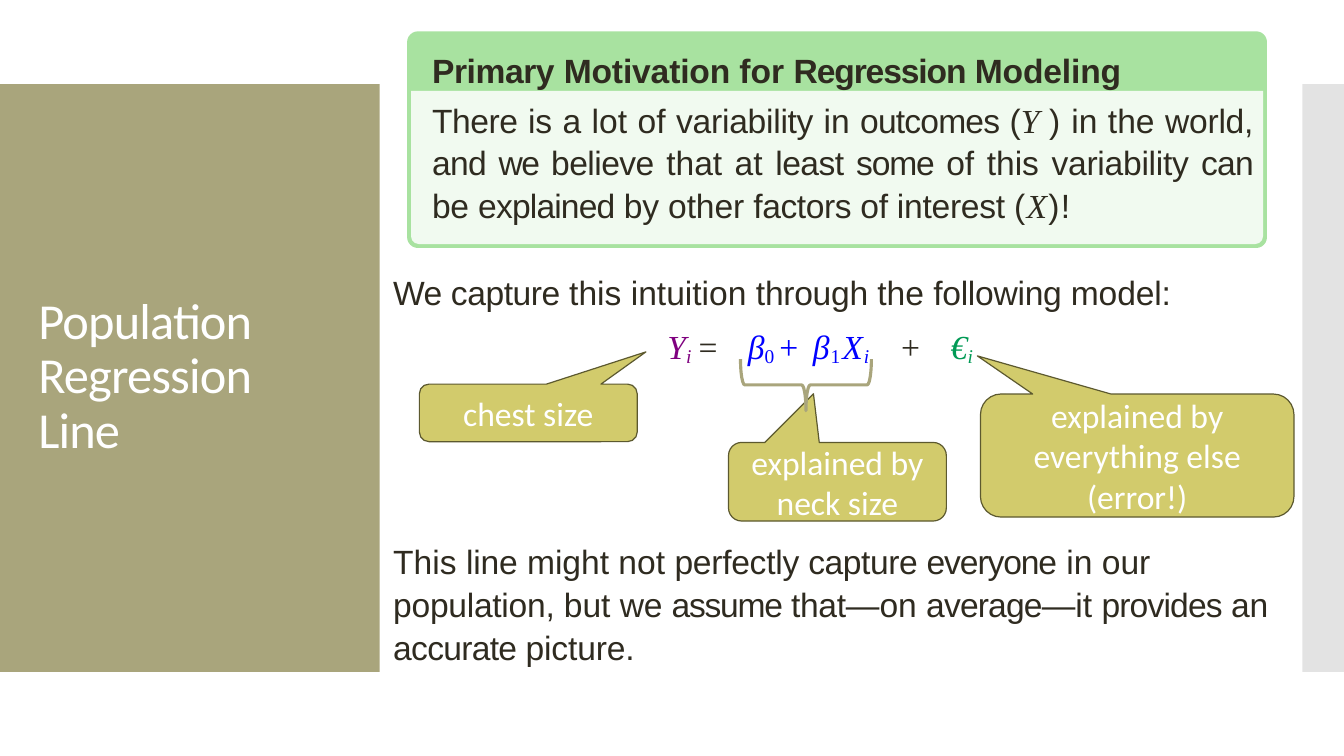
import pptx
import pptx.util
import pptx.dml.color
import pptx.enum.shapes
import pptx.enum.text
import pptx.oxml.ns
from dataclasses import dataclass
from lxml import etree
from pptx.util import Cm

Shapes = pptx.enum.shapes.MSO_SHAPE
Align = pptx.enum.text.PP_ALIGN
Anchor = pptx.enum.text.MSO_ANCHOR
qn = pptx.oxml.ns.qn


@dataclass(frozen=True)
class Theme:
    panel: str = "A9A57C"
    side: str = "C8C8C8"
    card: str = "A8E2A0"
    card_body: str = "F1FAF0"
    callout: str = "D2CB6C"
    callout_line: str = "5C592F"
    white: str = "FFFFFF"
    ink: str = "2F2B20"
    outcome: str = "7F007F"
    predictor: str = "0000FF"
    error: str = "009A55"
    heading_font: str = "Calibri"
    body_font: str = "Arial"
    math_font: str = "Times New Roman"
    title_size: int = 36
    body_size: int = 24
    line_spacing: float = 1.06


class SlideBuilder:
    def __init__(self, slide, theme):
        self.slide = slide
        self.theme = theme

    def color(self, value):
        return pptx.dml.color.RGBColor.from_string(value)

    def run(self, paragraph, text, spacing=0, font=None, color=None, size=None,
            bold=False, italic=False, subscript=False):
        run = paragraph.add_run()
        run.text = text
        run.font.name = font or self.theme.body_font
        run.font.size = pptx.util.Pt(size or self.theme.body_size)
        run.font.color.rgb = self.color(color or self.theme.ink)
        run.font.bold = bold
        run.font.italic = italic
        properties = run._r.get_or_add_rPr()
        properties.set("spc", str(round(spacing * 100)))
        if subscript:
            properties.set("baseline", "-10000")

    def prose(self, paragraph, pieces, bold=False):
        """Each piece is (text, letter spacing); a third item marks a variable."""
        for text, spacing, *variable in pieces:
            font = self.theme.math_font if variable else self.theme.body_font
            self.run(paragraph, text, spacing, font, bold=bold, italic=bool(variable))

    def title(self, text, left, top, width, height):
        title = self.slide.shapes.title
        title.left, title.top, title.width, title.height = map(Cm, (left, top, width, height))
        frame = title.text_frame
        frame.word_wrap = True
        frame.auto_size = pptx.enum.text.MSO_AUTO_SIZE.NONE
        frame.vertical_anchor = Anchor.MIDDLE
        paragraph = frame.paragraphs[0]
        paragraph.alignment = Align.LEFT
        paragraph.line_spacing = 0.9
        self.run(paragraph, text, -0.6, self.theme.heading_font, self.theme.white,
                 self.theme.title_size)

    def shape(self, kind, box, fill=None, line=None, weight=1, adjustments=()):
        shape = self.slide.shapes.add_shape(kind, *map(Cm, box))
        shape.shadow.inherit = False
        for index, value in enumerate(adjustments):
            shape.adjustments[index] = value
        if fill:
            shape.fill.solid()
            shape.fill.fore_color.rgb = self.color(fill)
        else:
            shape.fill.background()
        if line:
            shape.line.color.rgb = self.color(line)
            shape.line.width = pptx.util.Pt(weight)
        else:
            shape.line.fill.background()
        return shape

    def panel(self, box, fill, opacity=100):
        panel = self.shape(Shapes.RECTANGLE, box, fill)
        if opacity < 100:
            color = panel.fill._xPr.find(".//" + qn("a:srgbClr"))
            etree.SubElement(color, qn("a:alpha")).set("val", str(opacity * 1000))
        # Panels lie behind the title
        self.slide.shapes.title.element.addprevious(panel.element)

    def callout(self, text, box, tip):
        shape = self.shape(Shapes.ROUNDED_RECTANGULAR_CALLOUT, box, self.theme.callout,
                           self.theme.callout_line, 0.85, (*tip, 0.167))
        frame = shape.text_frame
        frame.word_wrap = True
        frame.vertical_anchor = Anchor.MIDDLE
        paragraph = frame.paragraphs[0]
        paragraph.alignment = Align.CENTER
        self.run(paragraph, text, 0, self.theme.heading_font, self.theme.white)

    def text_box(self, left, top, width, height, margins=(0, 0, 0, 0)):
        frame = self.slide.shapes.add_textbox(*map(Cm, (left, top, width, height))).text_frame
        frame.word_wrap = True
        (frame.margin_left, frame.margin_top,
         frame.margin_right, frame.margin_bottom) = map(Cm, margins)
        return frame

    def tab_stops(self, paragraph, positions):
        tabs = etree.SubElement(paragraph._p.get_or_add_pPr(), qn("a:tabLst"))
        for position in positions:
            tab = etree.SubElement(tabs, qn("a:tab"))
            tab.set("pos", str(Cm(position)))
            tab.set("algn", "l")


def main():
    presentation = pptx.Presentation()
    presentation.slide_width, presentation.slide_height = Cm(33.87), Cm(19.05)
    theme = Theme()
    builder = SlideBuilder(presentation.slides.add_slide(presentation.slide_layouts[5]), theme)

    # Side panels and title
    builder.panel((0, 2.12, 9.57, 14.81), theme.panel)
    builder.panel((32.82, 2.12, 1.05, 14.81), theme.side, opacity=50)
    builder.title("Population Regression Line", 0.71, 3.12, 8.18, 12.78)

    # Introduction of the model
    intro = builder.text_box(9.91, 6.85, 23, 1).paragraphs[0]
    builder.prose(intro, [
        ("We ", -0.5), ("capture ", -0.3), ("this intuition ", 0), ("through ", -0.2),
        ("the ", 0), ("following ", -0.2), ("model:", -0.1)])

    # Equation: text, colour, letter spacing, italic, subscript
    equation = builder.text_box(16.82, 8.22, 9, 1).paragraphs[0]
    builder.tab_stops(equation, (0.79, 2.03, 5.89, 7.14))
    for text, color, spacing, italic, subscript in [
            ("Y", theme.outcome, -0.2, True, False),
            ("i\t", theme.outcome, -0.4, True, True),
            ("=\t", theme.ink, 1.6, False, False),
            ("β", theme.predictor, 0, True, False),
            ("0 ", theme.predictor, 0, False, True),
            ("+ ", theme.predictor, 2.2, False, False),
            ("β", theme.predictor, 0.8, True, False),
            ("1", theme.predictor, 1.3, False, True),
            ("X", theme.predictor, 0.8, True, False),
            ("i\t", theme.predictor, 1.3, True, True),
            ("+\t", theme.ink, 1.7, False, False),
            ("€", theme.error, -0.2, True, False),
            ("i", theme.error, -0.4, True, True)]:
        builder.run(equation, text, spacing, theme.math_font, color,
                    italic=italic, subscript=subscript)

    # Closing remark
    closing = builder.text_box(9.91, 13.58, 23, 3.2).paragraphs[0]
    closing.line_spacing = theme.line_spacing
    builder.prose(closing, [
        ("This ", 0), ("line ", -0.1), ("might not ", 0), ("perfectly ", -0.2),
        ("capture ", -0.3), ("everyone", -0.8), (" in our ", 0), ("population, ", -0.2),
        ("but ", 0), ("we ", -0.2), ("assume ", -0.9), ("that—", -0.2), ("on ", 0),
        ("average—", -0.6), ("it ", 0), ("provides ", -0.6), ("an ", -0.1),
        ("accurate ", -0.5), ("picture.", -0.1)])

    # Motivation card
    builder.shape(Shapes.ROUNDED_RECTANGLE, (10.26, 0.79, 21.67, 5.46), theme.card,
                  adjustments=(0.05,))
    builder.shape(Shapes.ROUND_2_SAME_RECTANGLE, (10.36, 2.29, 21.47, 3.86), theme.card_body,
                  adjustments=(0, 0.05))
    card = builder.text_box(10.36, 1.12, 21.47, 4.57, (0.53, 0.13, 0.25, 0.13))
    heading = card.paragraphs[0]
    builder.prose(heading, [
        ("Primary", -0.3), (" Motivation ", -0.1), ("for ", 0),
        ("Regression ", -0.8), ("Modeling", -0.1)], bold=True)
    motivation = card.add_paragraph()
    motivation.alignment = Align.JUSTIFY
    motivation.line_spacing = theme.line_spacing
    motivation.space_before = pptx.util.Pt(5.2)
    builder.prose(motivation, [
        ("There ", -0.3), ("is ", -0.1), ("a lot of ", 0), ("variability ", -0.2), ("in ", 0),
        ("outcomes ", -0.6), ("(", 0), ("Y ", 0, True), (")", 0.5), (" in the ", 0),
        ("world, ", -0.2), ("and ", -0.5), ("we ", -1), ("believe ", -0.4), ("that at ", 0),
        ("least ", -0.4), ("some ", -0.8), ("of this ", 0), ("variability ", -0.2),
        ("can ", -0.5), ("be ", -0.2), ("explained ", -0.6), ("by other ", -0.1),
        ("factors ", -0.3), ("of interest ", -0.2), ("(", 0.9), ("X", 0.9, True), (")!", 0.9)])

    # Callouts and brace under the equation
    for text, box, tip in [
            ("chest size", (10.57, 9.68, 5.49, 1.45), (0.54, -1.06)),
            ("explained by neck size", (18.36, 11.15, 5.49, 1.98), (-0.11, -1.12)),
            ("explained by everything else (error!)", (24.71, 9.93, 7.9, 3.1), (-0.51, -0.81))]:
        builder.callout(text, box, tip)
    brace = builder.shape(Shapes.RIGHT_BRACE, (19.66, 8.05, 1.3, 3.3), line=theme.panel, weight=2.25)
    brace.rotation = 90

    presentation.save("out.pptx")


if __name__ == "__main__":
    main()
